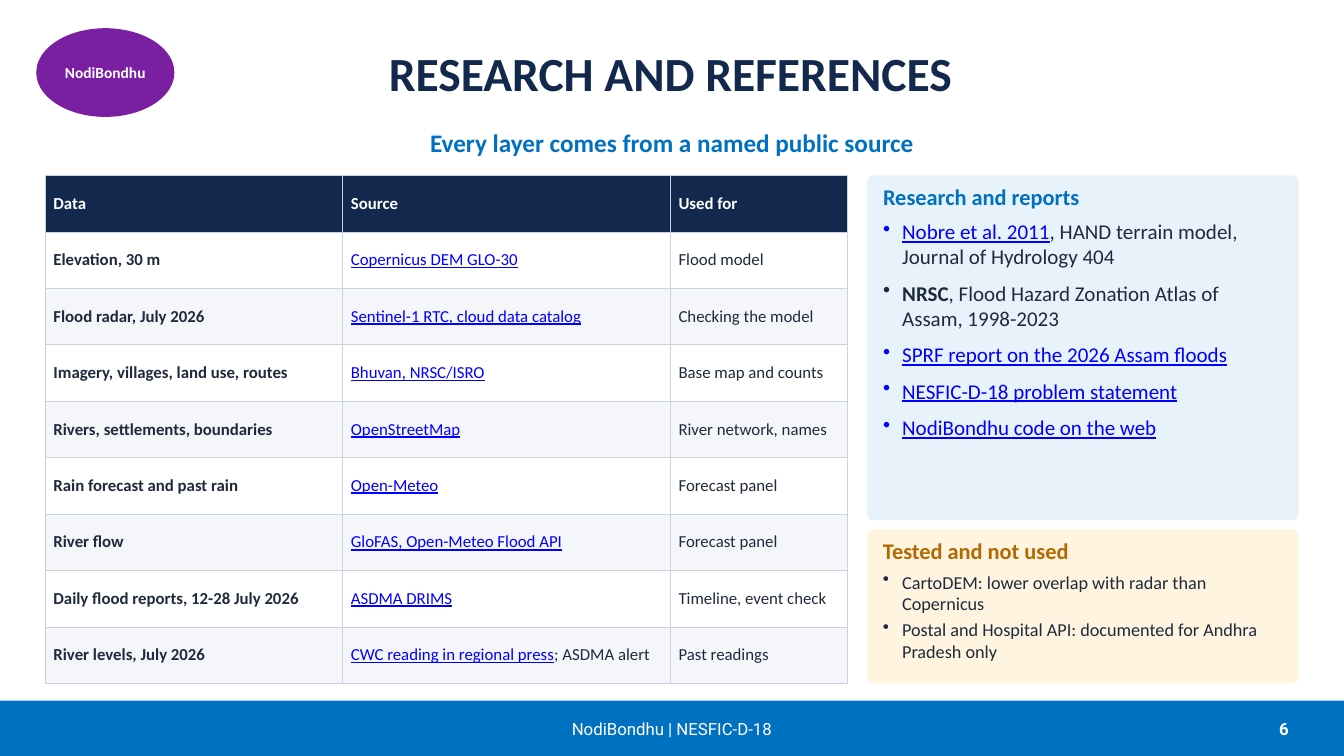
"""Build the research and references slide with its source table and two panels."""
from dataclasses import dataclass

from lxml.etree import SubElement
from pptx import Presentation
from pptx.dml.color import RGBColor
from pptx.enum.shapes import MSO_SHAPE as Preset
from pptx.enum.text import MSO_ANCHOR as Anchor, PP_ALIGN as Align
from pptx.oxml.ns import qn
from pptx.util import Inches, Pt

NAVY = RGBColor(0x12, 0x29, 0x4D)
BLUE = RGBColor(0x00, 0x70, 0xC0)
PURPLE = RGBColor(0x7B, 0x1F, 0xA2)
LINK = RGBColor(0x00, 0x00, 0xFF)
INK = RGBColor(0x1F, 0x2A, 0x3C)
AMBER = RGBColor(0xB2, 0x6A, 0x00)
WHITE = RGBColor(0xFF, 0xFF, 0xFF)
STRIPE = RGBColor(0xF4, 0xF6, 0xFA)
PALE_BLUE = RGBColor(0xE8, 0xF2, 0xFA)
PALE_AMBER = RGBColor(0xFF, 0xF4, 0xDF)
GRID = RGBColor(0xC9, 0xD3, 0xE0)
NO_INSETS = (0, 0, 0, 0)
DEFAULT_INSETS = (0.1, 0.05, 0.1, 0.05)
CELL_INSETS = (0.08, 0.04, 0.08, 0.04)
PANEL_INSETS = (0.14, 0.06, 0.14, 0.06)


@dataclass(frozen=True)
class Run:
    text: str
    color: RGBColor = INK
    bold: bool = False
    underline: bool = False


@dataclass(frozen=True)
class Label:
    box: tuple
    run: Run
    size: float
    font: str = "Calibri"
    align: Align = Align.CENTER
    insets: tuple = DEFAULT_INSETS


@dataclass(frozen=True)
class Panel:
    top: float
    height: float
    fill: RGBColor
    corner: float
    heading: Run
    heading_gap: float
    items: tuple
    item_size: float
    item_gap: float


def link(text: str) -> Run:
    return Run(text, LINK, underline=True)


TITLE = Label((1.9, 0.28, 9.5, 0.88), Run("RESEARCH AND REFERENCES", NAVY, True), 34)
BADGE = Label((0.36, 0.28, 1.37, 0.88), Run("NodiBondhu", WHITE, True), 11, insets=NO_INSETS)
LABELS = (
    Label((11.6, 6.95, 1.28, 0.55), Run("6", WHITE, True), 12, "Roboto", Align.RIGHT),
    Label((4, 6.95, 5.33, 0.55), Run("NodiBondhu | NESFIC-D-18", WHITE), 12, "Roboto"),
    Label((0.45, 1.2, 12.43, 0.42),
          Run("Every layer comes from a named public source", BLUE, True), 18, insets=NO_INSETS),
)
HEADERS = ("Data", "Source", "Used for")
COLUMN_WIDTHS = (2.95, 3.25, 1.75)
ROW_HEIGHT = 0.56
SOURCES = (
    ("Elevation, 30 m", "Copernicus DEM GLO-30", "", "Flood model"),
    ("Flood radar, July 2026", "Sentinel-1 RTC, cloud data catalog", "", "Checking the model"),
    ("Imagery, villages, land use, routes", "Bhuvan, NRSC/ISRO", "", "Base map and counts"),
    ("Rivers, settlements, boundaries", "OpenStreetMap", "", "River network, names"),
    ("Rain forecast and past rain", "Open-Meteo", "", "Forecast panel"),
    ("River flow", "GloFAS, Open-Meteo Flood API", "", "Forecast panel"),
    ("Daily flood reports, 12-28 July 2026", "ASDMA DRIMS", "", "Timeline, event check"),
    ("River levels, July 2026", "CWC reading in regional press", "; ASDMA alert", "Past readings"),
)
PANELS = (
    Panel(1.74, 3.42, PALE_BLUE, 0.018, Run("Research and reports", BLUE, True), 6, (
        (link("Nobre et al. 2011"), Run(", HAND terrain model, Journal of Hydrology 404")),
        (Run("NRSC", bold=True), Run(", Flood Hazard Zonation Atlas of Assam, 1998-2023")),
        (link("SPRF report on the 2026 Assam floods"),),
        (link("NESFIC-D-18 problem statement"),),
        (link("NodiBondhu code on the web"),),
    ), 15, 8),
    Panel(5.25, 1.53, PALE_AMBER, 0.039, Run("Tested and not used", AMBER, True), 5, (
        (Run("CartoDEM: lower overlap with radar than Copernicus"),),
        (Run("Postal and Hospital API: documented for Andhra Pradesh only"),),
    ), 13, 3),
)


def set_format(target, values: dict) -> None:
    for name, value in values.items():
        setattr(target, name, value)


def set_frame(target, insets: tuple, anchor: Anchor) -> None:
    sides = ("margin_left", "margin_top", "margin_right", "margin_bottom")
    set_format(target, dict(zip(sides, map(Inches, insets)), vertical_anchor=anchor))


def write_runs(paragraph, runs: tuple, size: float, font: str = "Calibri") -> None:
    for item in runs:
        run = paragraph.add_run()
        run.text = item.text
        set_format(run.font, {"name": font, "size": Pt(size), "bold": item.bold,
                              "underline": item.underline})
        run.font.color.rgb = item.color


def write_label(shape, label: Label) -> None:
    frame = shape.text_frame
    frame.word_wrap = True
    set_frame(frame, label.insets, Anchor.MIDDLE)
    frame.paragraphs[0].alignment = label.align
    write_runs(frame.paragraphs[0], (label.run,), label.size, label.font)


def add_block(slide, preset: Preset, box: tuple, fill: RGBColor):
    shape = slide.shapes.add_shape(preset, *map(Inches, box))
    shape.shadow.inherit = False
    shape.fill.solid()
    shape.fill.fore_color.rgb = fill
    shape.line.fill.background()
    return shape


def add_footer_bar(slide) -> None:
    bar = add_block(slide, Preset.RECTANGLE, (0, 6.95, 13.33, 0.55), BLUE)
    effects = bar.element.spPr.find(qn("a:effectLst"))
    shadow = SubElement(effects, qn("a:outerShdw"), blurRad="0", dist=str(Pt(1.8)),
                        dir="5400000", rotWithShape="0")
    color = SubElement(shadow, qn("a:srgbClr"), val="808080")
    SubElement(color, qn("a:alpha"), val="35000")


def style_cell(cell, runs: tuple, fill: RGBColor) -> None:
    set_frame(cell, CELL_INSETS, Anchor.MIDDLE)
    write_runs(cell.text_frame.paragraphs[0], runs, 12)
    properties = cell._tc.get_or_add_tcPr()
    for side in ("a:lnL", "a:lnR", "a:lnT", "a:lnB"):
        border = SubElement(properties, qn(side), w=str(Pt(0.5)))
        SubElement(SubElement(border, qn("a:solidFill")), qn("a:srgbClr"), val=str(GRID))
    cell.fill.solid()
    cell.fill.fore_color.rgb = fill


def add_source_table(slide) -> None:
    rows = len(SOURCES) + 1
    box = (0.45, 1.74, sum(COLUMN_WIDTHS), ROW_HEIGHT * rows)
    table = slide.shapes.add_table(rows, len(HEADERS), *map(Inches, box)).table
    for column, width in zip(table.columns, COLUMN_WIDTHS):
        column.width = Inches(width)
    for row in table.rows:
        row.height = Inches(ROW_HEIGHT)
    for index, header in enumerate(HEADERS):
        style_cell(table.cell(0, index), (Run(header, WHITE, True),), NAVY)
    for row, (data, source, extra, use) in enumerate(SOURCES, 1):
        source_runs = (link(source), Run(extra)) if extra else (link(source),)
        for index, runs in enumerate(((Run(data, bold=True),), source_runs, (Run(use),))):
            style_cell(table.cell(row, index), runs, WHITE if row % 2 else STRIPE)


def add_panel(slide, panel: Panel) -> None:
    shape = add_block(slide, Preset.ROUNDED_RECTANGLE, (8.6, panel.top, 4.28, panel.height), panel.fill)
    shape.adjustments[0] = panel.corner
    frame = shape.text_frame
    frame.word_wrap = True
    set_frame(frame, PANEL_INSETS, Anchor.TOP)
    heading = frame.paragraphs[0]
    set_format(heading, {"alignment": Align.LEFT, "space_after": Pt(panel.heading_gap)})
    write_runs(heading, (panel.heading,), 16)
    for runs in panel.items:
        paragraph = frame.add_paragraph()
        set_format(paragraph, {"alignment": Align.LEFT, "space_after": Pt(panel.item_gap)})
        properties = paragraph._p.get_or_add_pPr()
        properties.set("marL", str(Inches(0.19)))
        properties.set("indent", str(Inches(-0.19)))
        SubElement(properties, qn("a:buChar"), char="•")
        write_runs(paragraph, runs, panel.item_size)


def main() -> None:
    presentation = Presentation()
    set_format(presentation, {"slide_width": Inches(13.33), "slide_height": Inches(7.5)})
    slide = presentation.slides.add_slide(presentation.slide_layouts[5])
    title = slide.shapes.title
    set_format(title, dict(zip(("left", "top", "width", "height"), map(Inches, TITLE.box))))
    write_label(title, TITLE)
    add_footer_bar(slide)
    write_label(add_block(slide, Preset.OVAL, BADGE.box, PURPLE), BADGE)
    for label in LABELS:
        write_label(slide.shapes.add_textbox(*map(Inches, label.box)), label)
    add_source_table(slide)
    for panel in PANELS:
        add_panel(slide, panel)
    presentation.save("out.pptx")


if __name__ == "__main__":
    main()
